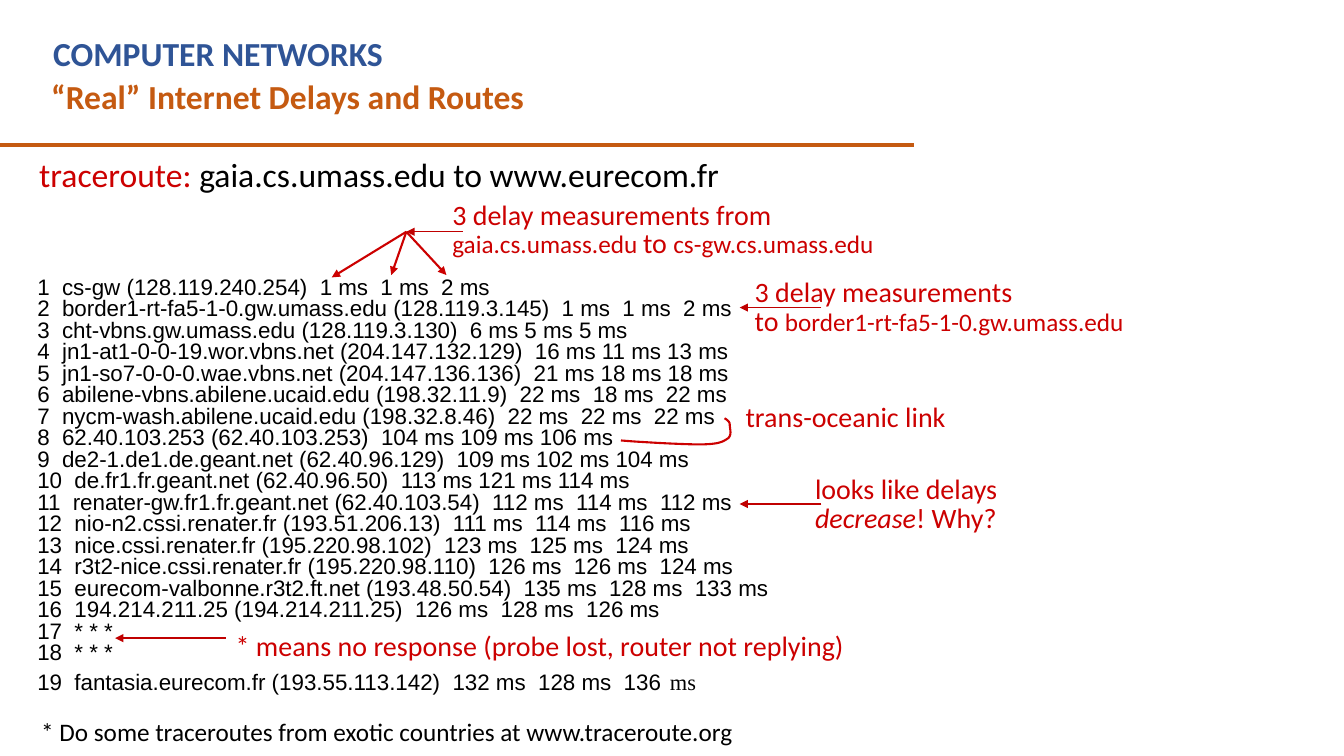
from pptx import Presentation
from pptx.dml.color import RGBColor
from pptx.enum.shapes import MSO_CONNECTOR as Connector
from pptx.enum.text import MSO_AUTO_SIZE as AutoSize
from pptx.oxml.ns import qn
from pptx.util import Cm, Pt
from lxml.etree import SubElement

BLUE, ORANGE, BLACK = "2F5496", "C55A11", "000000"
RED, DARK_RED = "CC0000", "C00000"

HOPS = [
    "cs-gw (128.119.240.254)  1 ms  1 ms  2 ms",
    "border1-rt-fa5-1-0.gw.umass.edu (128.119.3.145)  1 ms  1 ms  2 ms",
    "cht-vbns.gw.umass.edu (128.119.3.130)  6 ms 5 ms 5 ms",
    "jn1-at1-0-0-19.wor.vbns.net (204.147.132.129)  16 ms 11 ms 13 ms",
    "jn1-so7-0-0-0.wae.vbns.net (204.147.136.136)  21 ms 18 ms 18 ms",
    "abilene-vbns.abilene.ucaid.edu (198.32.11.9)  22 ms  18 ms  22 ms",
    "nycm-wash.abilene.ucaid.edu (198.32.8.46)  22 ms  22 ms  22 ms",
    "62.40.103.253 (62.40.103.253)  104 ms 109 ms 106 ms",
    "de2-1.de1.de.geant.net (62.40.96.129)  109 ms 102 ms 104 ms",
    "de.fr1.fr.geant.net (62.40.96.50)  113 ms 121 ms 114 ms",
    "renater-gw.fr1.fr.geant.net (62.40.103.54)  112 ms  114 ms  112 ms",
    "nio-n2.cssi.renater.fr (193.51.206.13)  111 ms  114 ms  116 ms",
    "nice.cssi.renater.fr (195.220.98.102)  123 ms  125 ms  124 ms",
    "r3t2-nice.cssi.renater.fr (195.220.98.110)  126 ms  126 ms  124 ms",
    "eurecom-valbonne.r3t2.ft.net (193.48.50.54)  135 ms  128 ms  133 ms",
    "194.214.211.25 (194.214.211.25)  126 ms  128 ms  126 ms",
    "* * *",
    "* * *",
    "fantasia.eurecom.fr (193.55.113.142)  132 ms  128 ms  136",
]


def color(value):
    return RGBColor.from_string(value)


def add_span(para, text, size=20, font="Calibri", fill=RED, bold=False, italic=False):
    span = para.add_run()
    span.text = text
    span.font.size, span.font.name = Pt(size), font
    span.font.bold, span.font.italic = bold, italic
    span.font.color.rgb = color(fill)


def add_text(page, place, paragraphs, spacing=None, hanging=None, **style):
    """Each paragraph is a list of (text, overrides of the style) pairs."""
    box = page.shapes.add_textbox(*map(Cm, place))
    frame = box.text_frame
    frame.word_wrap = True
    frame.auto_size = AutoSize.SHAPE_TO_FIT_TEXT
    for index, spans in enumerate(paragraphs):
        para = frame.add_paragraph() if index else frame.paragraphs[0]
        if spacing:
            para.line_spacing = spacing
        if hanging:
            properties = para._p.get_or_add_pPr()
            properties.set("marL", str(Cm(hanging)))
            properties.set("indent", str(-Cm(hanging)))
        for text, changes in spans:
            add_span(para, text, **{**style, **changes})


def add_line(page, start, end, fill, width, arrow=True):
    line = page.shapes.add_connector(Connector.STRAIGHT, *map(Cm, (*start, *end)))
    line.line.color.rgb = color(fill)
    line.line.width = Pt(width)
    if arrow:
        SubElement(line.line._get_or_add_ln(), qn("a:tailEnd"), type="triangle")
    SubElement(line._element.spPr, qn("a:effectLst"))


def add_curve(page, start, segments, fill, width, steps=8):
    """Trace a chain of cubic curves as a fine open outline."""
    points, origin = [], start
    for first, second, end in segments:
        for step in range(1, steps + 1):
            t = step / steps
            weights = (1 - t) ** 3, 3 * t * (1 - t) ** 2, 3 * t * t * (1 - t), t ** 3
            corners = origin, first, second, end
            points.append(tuple(
                Cm(sum(w * corner[axis] for w, corner in zip(weights, corners)))
                for axis in (0, 1)))
        origin = end
    builder = page.shapes.build_freeform(Cm(start[0]), Cm(start[1]))
    builder.add_line_segments(points, close=False)
    curve = builder.convert_to_shape()
    curve.shadow.inherit = False
    curve.fill.background()
    curve.line.color.rgb = color(fill)
    curve.line.width = Pt(width)


def main():
    deck = Presentation()
    deck.slide_width, deck.slide_height = Cm(33.87), Cm(19.05)
    page = deck.slides.add_slide(deck.slide_layouts[6])

    # Heading
    add_line(page, (-0.03, 3.66), (23.04, 3.66), ORANGE, 3, arrow=False)
    add_text(page, (1.09, 0.71, 20.83, 1.27), [[("COMPUTER NETWORKS", {})]],
             size=24, fill=BLUE, bold=True)
    add_text(page, (1.04, 1.8, 22.22, 1.27), [[("“Real” Internet Delays and Routes", {})]],
             size=24, fill=ORANGE, bold=True)
    add_text(page, (0.74, 3.76, 22.76, 1.27),
             [[("traceroute:", {}), (" gaia.cs.umass.edu to www.eurecom.fr", {"fill": BLACK})]],
             size=24)

    # Route listing
    hops = [[(f"{number}  {hop}", {})] for number, hop in enumerate(HOPS, 1)]
    serif = "Times New Roman"
    hops[-1] += [(" ", {"size": 24, "font": serif}), ("ms", {"font": serif})]
    add_text(page, (0.69, 6.88, 22.86, 10.95), hops, spacing=0.8, hanging=1.27,
             size=16, font="Arial", fill=BLACK)

    # Remarks
    small = {"size": 18}
    add_text(page, (11.15, 4.98, 16.48, 1.73),
             [[("3 delay measurements from", {})],
              [("gaia.cs.umass.edu ", small), ("to ", {}), ("cs-gw.cs.umass.edu", small)]],
             spacing=0.85)
    add_text(page, (18.77, 6.93, 11.35, 1.73),
             [[("3 delay measurements", {})],
              [("to ", {}), ("border1-rt-fa5-1-0.gw.umass.edu", small)]],
             spacing=0.85)
    add_text(page, (18.54, 9.93, 7.62, 1.12), [[("trans-oceanic link", {})]])
    add_text(page, (20.29, 11.89, 7.62, 1.73),
             [[("looks like delays ", {}), ("decrease", {"italic": True}), ("! Why?", {})]],
             spacing=0.85)
    add_text(page, (5.69, 15.72, 17.48, 1.12),
             [[("* means no response (probe lost, router not replying)", {})]])
    add_text(page, (0.79, 17.93, 18.14, 1.02),
             [[("* Do some traceroutes from exotic countries at www.traceroute.org", {})]],
             size=18, fill=BLACK)

    # Arrows fanning out to the three delays of the first hop
    hub = (10.24, 5.84)
    for target in ((8.36, 6.99), (9.86, 6.93), (11.25, 6.93)):
        add_line(page, hub, target, RED, 1.5)

    # Arrows from the remarks, all pointing left
    for right, left, top in ((11.66, hub[0], hub[1]), (20.7, 18.64, 7.75),
                             (20.7, 18.64, 12.7), (5.69, 2.9, 16.08)):
        add_line(page, (right, top), (left, top), DARK_RED, 1)

    # Bracket joining the two ends of the ocean link
    add_curve(page, (18.26, 10.54), [
        ((18.31, 10.57), (18.39, 10.62), (18.39, 10.69)),
        ((18.39, 10.8), (18.47, 11), (18.31, 11.07)),
        ((18.19, 11.15), (18.06, 11.2), (17.6, 11.2)),
        ((17.17, 11.2), (15.95, 11.13), (15.65, 11.1)),
    ], RED, 1.5)

    deck.save("out.pptx")


if __name__ == "__main__":
    main()
